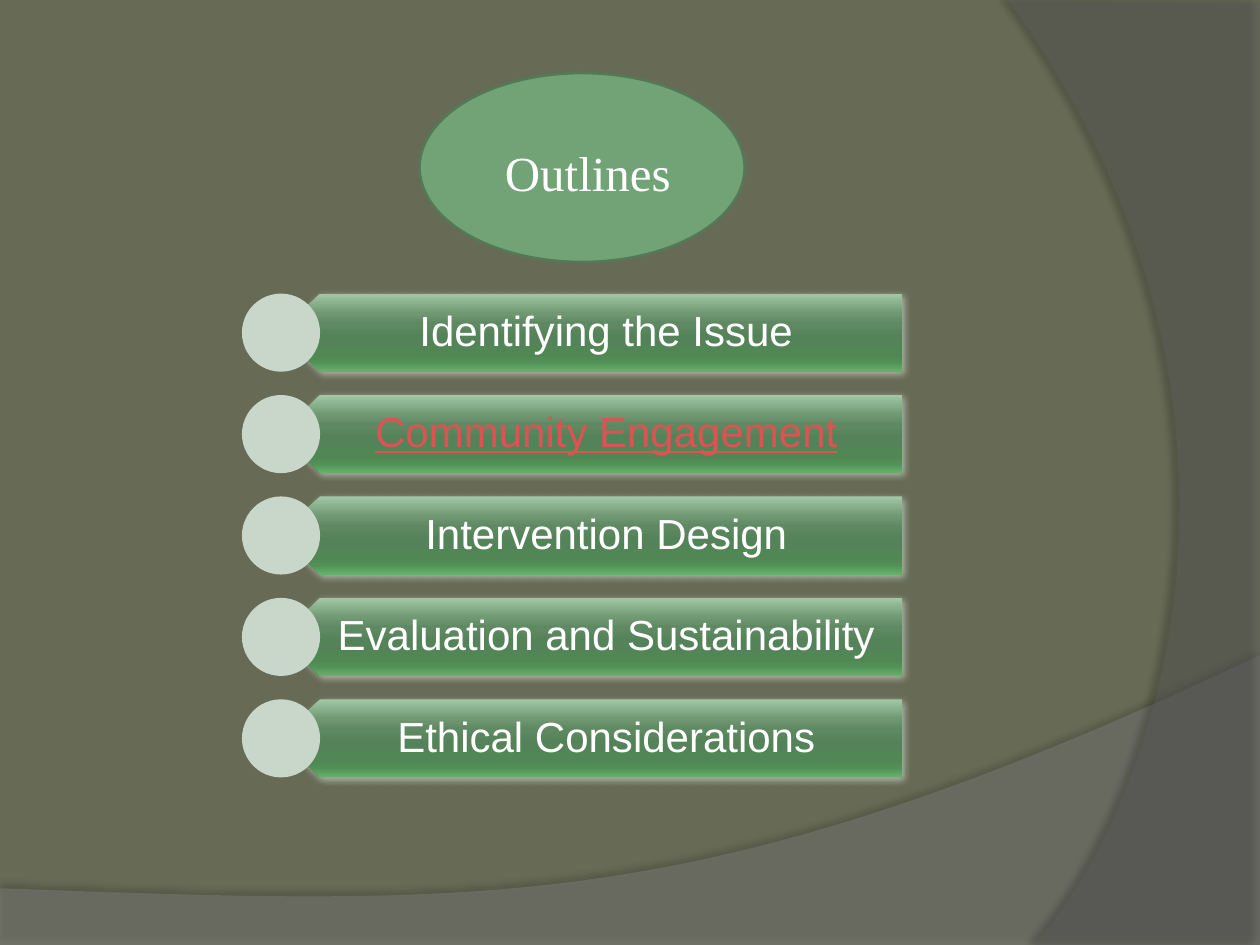
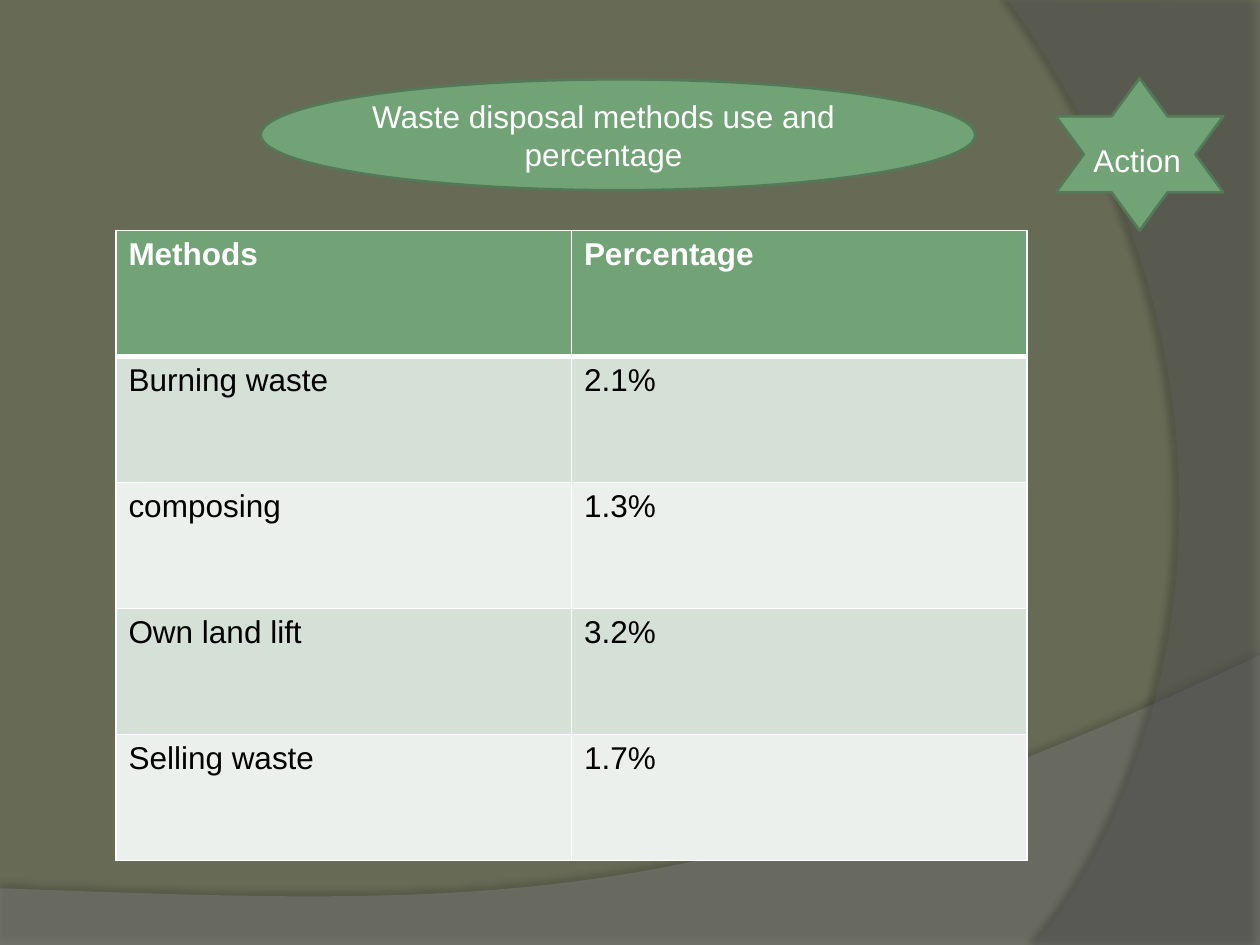
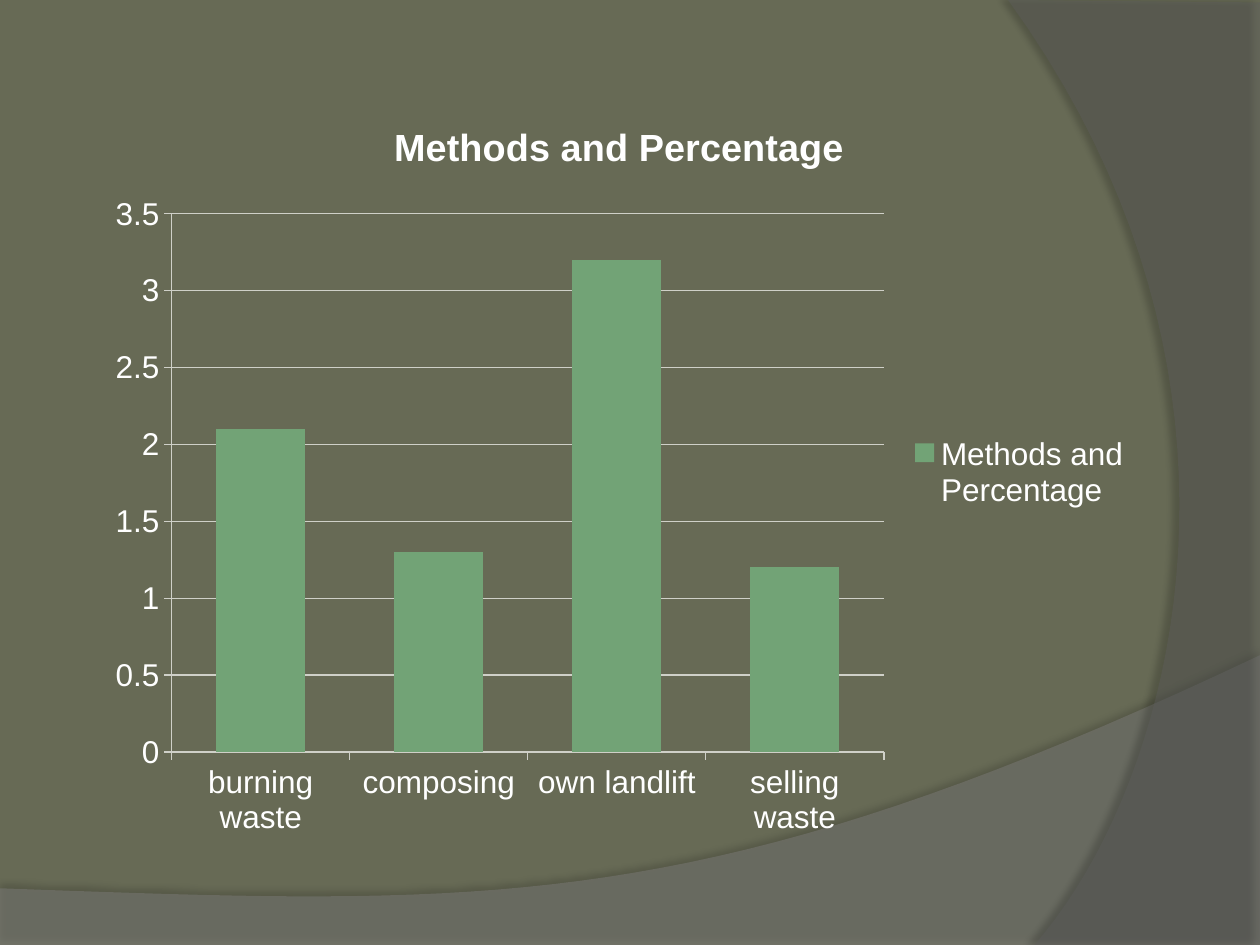
from lxml import etree
from pptx import Presentation
from pptx.chart.data import CategoryChartData
from pptx.dml.color import RGBColor
from pptx.enum import chart as chart_enum, shapes, text
from pptx.oxml import ns
from pptx.util import Inches, Pt

OLIVE = RGBColor(0x67, 0x6A, 0x55)
GREEN = RGBColor(0x72, 0xA3, 0x76)
DARK_GREEN = RGBColor(0x54, 0x79, 0x57)
PALE_GREEN = RGBColor(0xC9, 0xD7, 0xCA)
BAND_DARK = RGBColor(0xD5, 0xE0, 0xD6)
BAND_LIGHT = RGBColor(0xEB, 0xF0, 0xEC)
MID_GRAY = RGBColor(0x7F, 0x7F, 0x7F)
DARK_GRAY = RGBColor(0x5E, 0x5E, 0x5E)
GRID_GRAY = RGBColor(0xCF, 0xD0, 0xC8)
RED = RGBColor(0xDB, 0x53, 0x53)
WHITE = RGBColor(0xFF, 0xFF, 0xFF)
BLACK = RGBColor(0, 0, 0)
PLATE_STOPS = [(0, "A2C8A5"), (25, "709973"), (38, "5F8962"), (55, "558359"),
               (80, "508755"), (88, "519156"), (100, "66B16C")]


def add_node(parent, tag, **attributes):
    """Append one DrawingML element and return it."""
    values = {name: str(value) for name, value in attributes.items()}
    return etree.SubElement(parent, ns.qn(tag), values)


def add_run(paragraph, words, size, color, font="Arial", bold=False):
    run = paragraph.add_run()
    run.text = words
    run.font.size = Pt(size)
    run.font.name = font
    run.font.bold = bold
    run.font.color.rgb = color
    return run


presentation = Presentation()
presentation.slide_width = Inches(10)
presentation.slide_height = Inches(7.5)
title_only, blank = presentation.slide_layouts[5], presentation.slide_layouts[6]
outline_slide = presentation.slides.add_slide(title_only)
table_slide = presentation.slides.add_slide(title_only)
chart_slide = presentation.slides.add_slide(blank)

# Shared background: two translucent curved panels on the master
master = presentation.slide_master
master.background.fill.solid()
master.background.fill.fore_color.rgb = OLIVE
panels = [  # corners, curve controls back to the first corner, fill, opacity, shadow
    ([(0, 7.05), (0, 7.51), (10, 7.51), (10, 5.2)], [(5.59, 7.29), (3.91, 7.19)],
     MID_GRAY, 45, (35, 3.5, 270)),
    ([(8, 0), (10, 0.02), (10, 7.5), (8.21, 7.5)], [(9.35, 6.19), (10.18, 3)],
     DARK_GRAY, 40, (45, 4, 180)),
]
for number, (corners, controls, color, opacity, shadow) in enumerate(panels):
    curve = []
    bends = [corners[-1], *controls, corners[0]]
    for step in range(1, 41):
        t = step / 40
        weights = [(1 - t) ** 3, 3 * t * (1 - t) ** 2, 3 * t * t * (1 - t), t ** 3]
        curve.append([sum(w * p[axis] for w, p in zip(weights, bends)) for axis in (0, 1)])
    outline = [(Inches(x), Inches(y)) for x, y in corners + curve]
    builder = outline_slide.shapes.build_freeform(*outline[0])
    builder.add_line_segments(outline[1:], close=True)
    panel = builder.convert_to_shape()
    panel.fill.solid()
    panel.fill.fore_color.rgb = color
    panel.line.fill.background()
    fill_color = panel.element.spPr.find(ns.qn("a:solidFill"))[0]
    add_node(fill_color, "a:alpha", val=opacity * 1000)
    panel.shadow.inherit = False
    effects = panel.element.spPr.find(ns.qn("a:effectLst"))
    strength, distance, angle = shadow
    shade = add_node(effects, "a:outerShdw", blurRad=Pt(4), dist=Pt(distance),
                     dir=angle * 60000, rotWithShape=0)
    add_node(add_node(shade, "a:srgbClr", val=BLACK), "a:alpha", val=strength * 1000)
    panel.element.nvSpPr.cNvPr.id = 20 + number
    master.shapes.element.append(panel.element)

# Green badges: the titles of slides 1 and 2, and the star
SHAPE = shapes.MSO_SHAPE
CENTER, LEFT = text.PP_ALIGN.CENTER, text.PP_ALIGN.LEFT
badges = [
    (outline_slide, SHAPE.OVAL, (3.33, 0.58, 2.58, 1.5), (3.75, 1.08, 1.83, 0.57),
     "Outlines", 28, "Times New Roman", CENTER),
    (table_slide, SHAPE.OVAL, (2.07, 0.63, 5.67, 0.88), (2.58, 0.72, 4.42, 0.71),
     "Waste disposal methods use and percentage", 18, "Arial", CENTER),
    (table_slide, SHAPE.STAR_6_POINT, (8.38, 0.62, 1.33, 1.21), (8.58, 1.07, 0.92, 0.4),
     "Action", 18, "Arial", LEFT),
]
for slide, kind, badge_box, label_box, words, size, font, alignment in badges:
    badge = slide.shapes.add_shape(kind, *map(Inches, badge_box))
    badge.shadow.inherit = False
    badge.fill.solid()
    badge.fill.fore_color.rgb = GREEN
    badge.line.color.rgb = DARK_GREEN
    badge.line.width = Pt(1.5)
    if kind == SHAPE.OVAL:
        label = slide.shapes.title
        label.left, label.top, label.width, label.height = map(Inches, label_box)
        label.element.addprevious(badge.element)
    else:
        label = slide.shapes.add_textbox(*map(Inches, label_box))
    frame = label.text_frame
    frame.word_wrap = True
    frame.auto_size = text.MSO_AUTO_SIZE.NONE
    frame.vertical_anchor = text.MSO_ANCHOR.TOP
    frame.paragraphs[0].alignment = alignment
    add_run(frame.paragraphs[0], words, size, WHITE, font)

# Slide 1: list of topics, each a plate with a disc at its point
topics = ["Identifying the Issue", "Community Engagement", "Intervention Design",
          "Evaluation and Sustainability", "Ethical Considerations"]
for row, topic in enumerate(topics):
    top = Inches(2.33 + row * 0.805)
    plate = outline_slide.shapes.add_shape(
        SHAPE.PENTAGON, Inches(2.23), top, Inches(4.93), Inches(0.62))
    plate.element.spPr.xfrm.set("flipH", "1")
    plate.line.fill.background()
    plate.fill.gradient()
    plate.fill.gradient_angle = 270
    stops = plate.element.spPr.find(".//" + ns.qn("a:gsLst"))
    for stop in list(stops):
        stops.remove(stop)
    for position, color in PLATE_STOPS:
        add_node(add_node(stops, "a:gs", pos=position * 1000), "a:srgbClr", val=color)
    plate.shadow.inherit = False
    effects = plate.element.spPr.find(ns.qn("a:effectLst"))
    halo = add_node(effects, "a:outerShdw", blurRad=Pt(4), dist=Pt(1.5),
                    dir=45 * 60000, rotWithShape=0)
    add_node(add_node(halo, "a:srgbClr", val=PALE_GREEN), "a:alpha", val=70000)

    frame = plate.text_frame
    frame.word_wrap = True
    frame.vertical_anchor = text.MSO_ANCHOR.MIDDLE
    frame.margin_left, frame.margin_right = Inches(0.27), Inches(0.19)
    frame.margin_top = frame.margin_bottom = Inches(0.1)
    paragraph = frame.paragraphs[0]
    paragraph.alignment = CENTER
    paragraph.line_spacing = 0.9
    current = topic == "Community Engagement"
    run = add_run(paragraph, topic, 24, RED if current else WHITE)
    run.font.underline = current

    disc = outline_slide.shapes.add_shape(
        SHAPE.OVAL, Inches(1.92), top, Inches(0.62), Inches(0.62))
    disc.shadow.inherit = False
    disc.fill.solid()
    disc.fill.fore_color.rgb = PALE_GREEN
    disc.line.fill.background()

# Slide 2: table of methods
methods = [("Methods", "Percentage"), ("Burning waste", "2.1%"), ("composing", "1.3%"),
           ("Own land lift", "3.2%"), ("Selling waste", "1.7%")]
table = table_slide.shapes.add_table(
    len(methods), 2, Inches(0.92), Inches(1.83), Inches(7.23), Inches(5)).table
for row, values in enumerate(methods):
    table.rows[row].height = Inches(1)
    header = row == 0
    for column, value in enumerate(values):
        cell = table.cell(row, column)
        properties = cell._tc.get_or_add_tcPr()
        for side in "LRTB":
            thick = (side, row) in (("B", 0), ("T", 1))
            border = add_node(properties, "a:ln" + side, w=Pt(3 if thick else 1))
            add_node(add_node(border, "a:solidFill"), "a:srgbClr", val=WHITE)
        cell.fill.solid()
        cell.fill.fore_color.rgb = GREEN if header else BAND_DARK if row % 2 else BAND_LIGHT
        add_run(cell.text_frame.paragraphs[0], value, 18,
                WHITE if header else BLACK, bold=header)

# Slide 3: column chart
chart_data = CategoryChartData()
chart_data.categories = ["burning waste", "composing", "own landlift", "selling waste"]
chart_data.add_series("Methods and Percentage", [2.1, 1.3, 3.2, 1.2])
chart = chart_slide.shapes.add_chart(
    chart_enum.XL_CHART_TYPE.COLUMN_CLUSTERED,
    Inches(0.75), Inches(0.75), Inches(8.33), Inches(6), chart_data).chart
chart.font.size = Pt(18)
chart.font.name = "Arial"
chart.font.color.rgb = WHITE
chart.has_title = True
add_run(chart.chart_title.text_frame.paragraphs[0], "Methods and Percentage",
        21.6, WHITE, bold=True)
chart.has_legend = True
chart.legend.position = chart_enum.XL_LEGEND_POSITION.RIGHT
chart.legend.include_in_layout = False

plot = chart.plots[0]
plot.gap_width = 100
plot.vary_by_categories = False
plot.series[0].format.fill.solid()
plot.series[0].format.fill.fore_color.rgb = GREEN

value_axis = chart.value_axis
value_axis.minimum_scale, value_axis.maximum_scale = 0, 3.5
value_axis.major_unit = 0.5
value_axis.has_major_gridlines = True
value_axis.major_gridlines.format.line.color.rgb = GRID_GRAY
for axis in (chart.category_axis, value_axis):
    axis.major_tick_mark = chart_enum.XL_TICK_MARK.OUTSIDE
    axis.format.line.color.rgb = GRID_GRAY

presentation.save("out.pptx")
